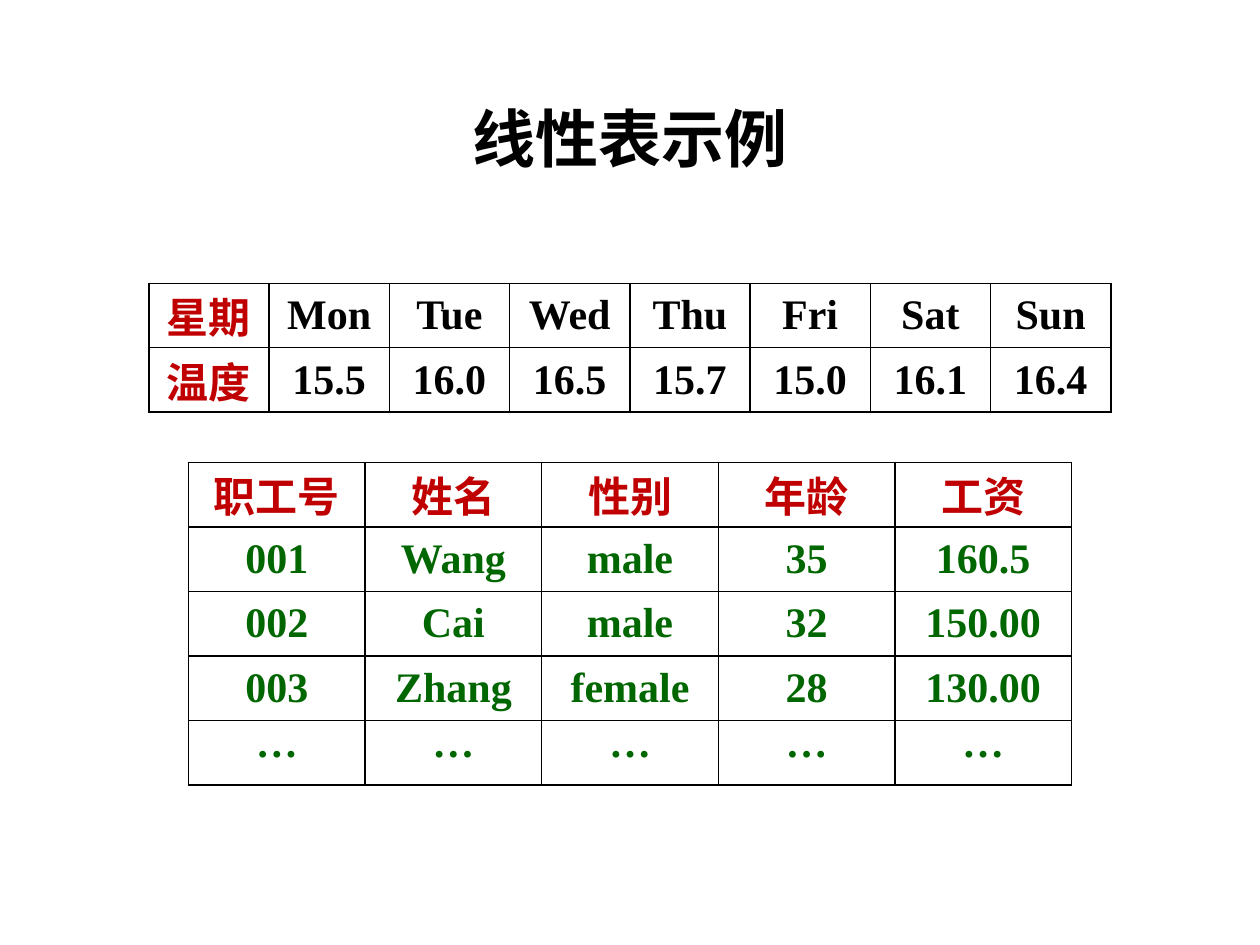
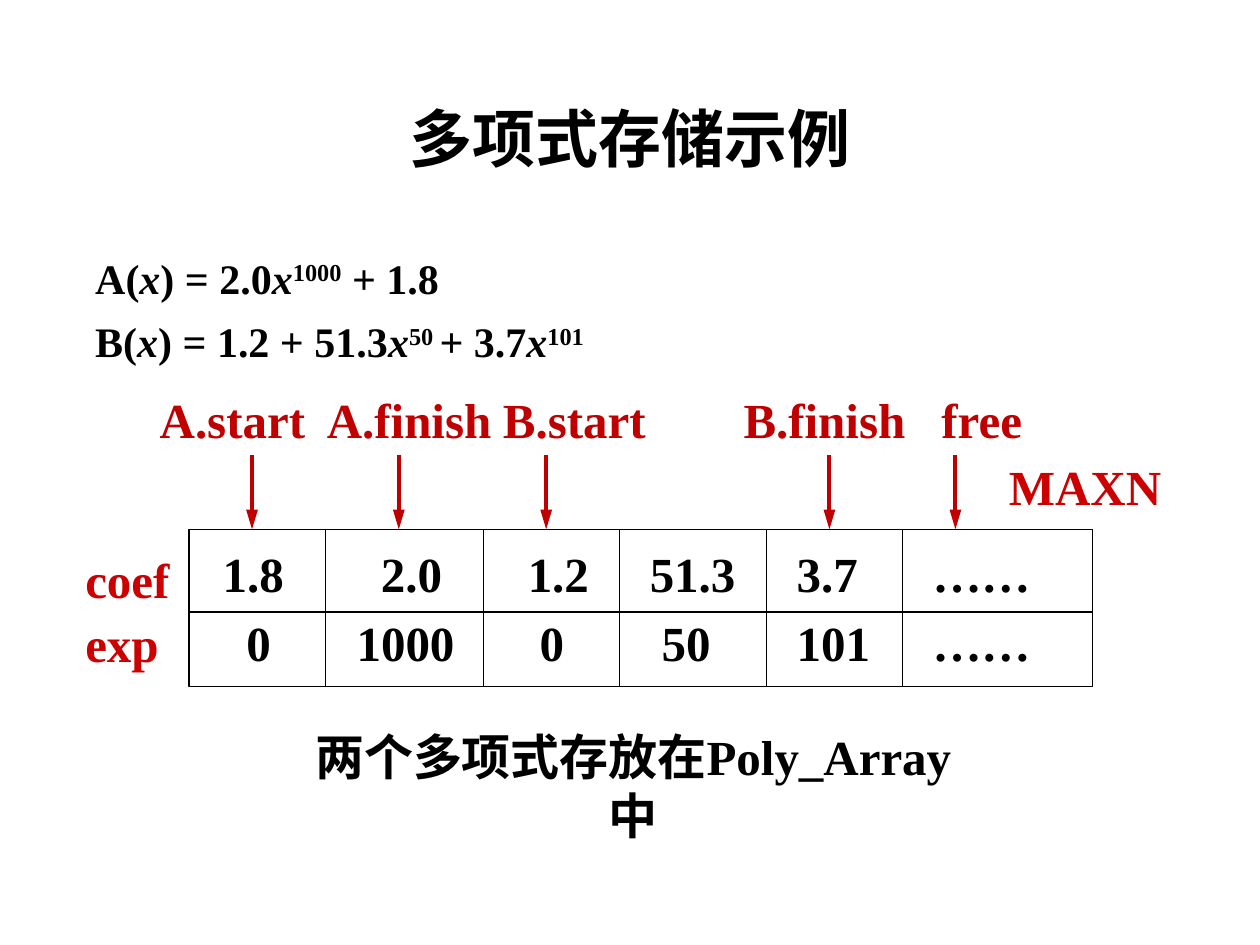
from lxml import etree
from pptx import Presentation
from pptx.dml.color import RGBColor
from pptx.enum.shapes import MSO_CONNECTOR, MSO_SHAPE
from pptx.enum.text import MSO_ANCHOR, PP_ALIGN
from pptx.oxml.ns import qn
from pptx.util import Cm, Pt

LEFT, CENTER = PP_ALIGN.LEFT, PP_ALIGN.CENTER
TOP, MIDDLE = MSO_ANCHOR.TOP, MSO_ANCHOR.MIDDLE
STRAIGHT, RECT = MSO_CONNECTOR.STRAIGHT, MSO_SHAPE.RECTANGLE
TITLE_ONLY = 5
HAN, LATIN = "Noto Sans CJK SC", "Times New Roman"
COLORS = {"ink": "000000", "head": "C00000", "name": "CC0000", "data": "006600"}


def write(frame, text, size=28, font=LATIN, color="ink", align=LEFT,
          anchor=TOP, space=None, after=0, tabs=()):
    """Fill a frame; text is a string or lines of (text, mark) runs.

    Mark "i" is italic, "^" is superscript and "" is plain.
    Tabs holds the tab stops of each line in cm.
    """
    frame.word_wrap = True
    frame.vertical_anchor = anchor
    lines = text
    if isinstance(text, str):
        lines = [[(line, "")] for line in text.split("\n")]
    for n, line in enumerate(lines):
        para = frame.add_paragraph() if n else frame.paragraphs[0]
        para.alignment = align
        para.line_spacing = space
        para.space_before, para.space_after = Pt(0), Pt(after)
        if tabs:
            stops = etree.SubElement(para._p.get_or_add_pPr(), qn("a:tabLst"))
            for stop in tabs[n]:
                etree.SubElement(stops, qn("a:tab"), pos=str(Cm(stop)), algn="l")
        for part, mark in line:
            run = para.add_run()
            run.text = part
            run.font.name = font
            run.font.size = Pt(size)
            run.font.bold = True
            run.font.italic = mark == "i"
            run.font.color.rgb = RGBColor.from_string(COLORS[color])
            props = run._r.get_or_add_rPr()
            etree.SubElement(props, qn("a:ea"), typeface=HAN)
            if mark == "^":
                props.set("baseline", "30000")


def rule(slide, start, end, color="ink", width=0.75, head=False):
    """Draw a line between two points in cm, with an arrowhead if asked."""
    line = slide.shapes.add_connector(STRAIGHT, *map(Cm, start + end))
    line.line.width = Pt(width)
    line.line.color.rgb = RGBColor.from_string(COLORS[color])
    if head:
        etree.SubElement(line.line._get_or_add_ln(), qn("a:tailEnd"),
                         type="triangle", w="med", len="lg")
    etree.SubElement(line._element.spPr, qn("a:effectLst"))


deck = Presentation()
deck.slide_width, deck.slide_height = Cm(25.4), Cm(19.05)

slides = []
for text in ("线性表示例", "多项式存储示例"):
    slide = deck.slides.add_slide(deck.slide_layouts[TITLE_ONLY])
    title = slide.shapes.title
    title.left, title.top = Cm(1.75), Cm(1.02)
    title.width, title.height = Cm(21.9), Cm(3.68)
    write(title.text_frame, text, size=36, font=HAN, align=CENTER,
          anchor=MIDDLE, space=0.9)
    slides.append(slide)
lists, poly = slides

# Slide 1: two linear lists
week = [
    ["星期", "Mon", "Tue", "Wed", "Thu", "Fri", "Sat", "Sun"],
    ["温度", "15.5", "16.0", "16.5", "15.7", "15.0", "16.1", "16.4"],
]
staff = [
    ["职工号", "姓名", "性别", "年龄", "工资"],
    ["001", "Wang", "male", "35", "160.5"],
    ["002", "Cai", "male", "32", "150.00"],
    ["003", "Zhang", "female", "28", "130.00"],
    ["…"] * 5,
]
for rows, left, top, wide, color in (
        (week, 3, 5.71, 19.4, "ink"), (staff, 3.8, 9.32, 17.8, "data")):
    table = lists.shapes.add_table(
        len(rows), len(rows[0]), Cm(left), Cm(top),
        Cm(wide), Cm(1.3 * len(rows))).table
    table.first_row = table.horz_banding = False
    for line in table.rows:
        line.height = Cm(1.3)
    for r, row in enumerate(rows):
        for c, text in enumerate(row):
            head = c == 0 if rows is week else r == 0
            cell = table.cell(r, c)
            write(cell.text_frame, text, size=24, align=CENTER,
                  font=HAN if head else LATIN, color="head" if head else color)
            cell.vertical_anchor = TOP if text == "…" else MIDDLE
            cell.margin_left = cell.margin_right = Cm(0.18)
            cell.margin_top = cell.margin_bottom = 0
            cell.fill.background()
            props = cell._tc.get_or_add_tcPr()
            for n, side in enumerate(("lnL", "lnR", "lnT", "lnB")):
                edge = etree.Element(qn(f"a:{side}"), w=str(Pt(1)))
                fill = etree.SubElement(edge, qn("a:solidFill"))
                etree.SubElement(fill, qn("a:srgbClr"), val=COLORS["ink"])
                props.insert(n, edge)

# Slide 2: two polynomials in one array
left, top, right, base = 3.81, 10.67, 22.02, 13.84
frame = poly.shapes.add_shape(
    RECT, Cm(left), Cm(top), Cm(right - left), Cm(base - top))
frame.shadow.inherit = False
frame.fill.background()
frame.line.width = Pt(0.75)
frame.line.color.rgb = RGBColor.from_string(COLORS["ink"])
rule(poly, (left, 12.34), (right, 12.34))
for x in (6.56, 9.74, 12.49, 15.45, 18.2):
    rule(poly, (x, top), (x, base))
for x in (5.08, 8.04, 11.01, 16.72, 19.26):
    rule(poly, (x, 9.17), (x, top), color="head", width=2.25, head=True)

terms = [
    [("A(", ""), ("x", "i"), (") = 2.0", ""), ("x", "i"), ("1000", "^"),
     (" + 1.8", "")],
    [("B(", ""), ("x", "i"), (") = 1.2 + 51.3", ""), ("x", "i"), ("50 ", "^"),
     ("+ 3.7", ""), ("x", "i"), ("101", "^")],
]
marks = "A.start\tA.finish\tB.start\tB.finish\tfree"
values = "1.8\t2.0\t1.2\t51.3\t3.7\t……\n\t0\t1000\t0\t50\t101\t……"
mark_tabs = [[3.37, 6.92, 11.77, 15.76]]
value_tabs = [[3.19, 6.15, 8.61, 11.57, 14.31],
              [0.48, 2.7, 6.39, 8.85, 11.57, 14.31]]
notes = [
    (terms, 1.67, 4.91, 17.35, 2.54, dict(size=24, space=1.05, after=6)),
    ("两个多项式存放在Poly_Array中", 5.78, 14.53, 13.97, 1.45,
     dict(align=CENTER)),
    (marks, 2.97, 7.73, 18.36, 1.45, dict(color="head", tabs=mark_tabs)),
    ("coef\nexp", 1.47, 10.95, 2.3, 2.77, dict(color="name", after=3.2)),
    (values, 4.24, 10.83, 16.97, 2.9, dict(after=6, tabs=value_tabs)),
    ("MAXN", 20.09, 9.08, 3.8, 1.45, dict(color="name")),
]
for text, left, top, width, height, style in notes:
    box = poly.shapes.add_textbox(Cm(left), Cm(top), Cm(width), Cm(height))
    write(box.text_frame, text, **style)

deck.save("out.pptx")
